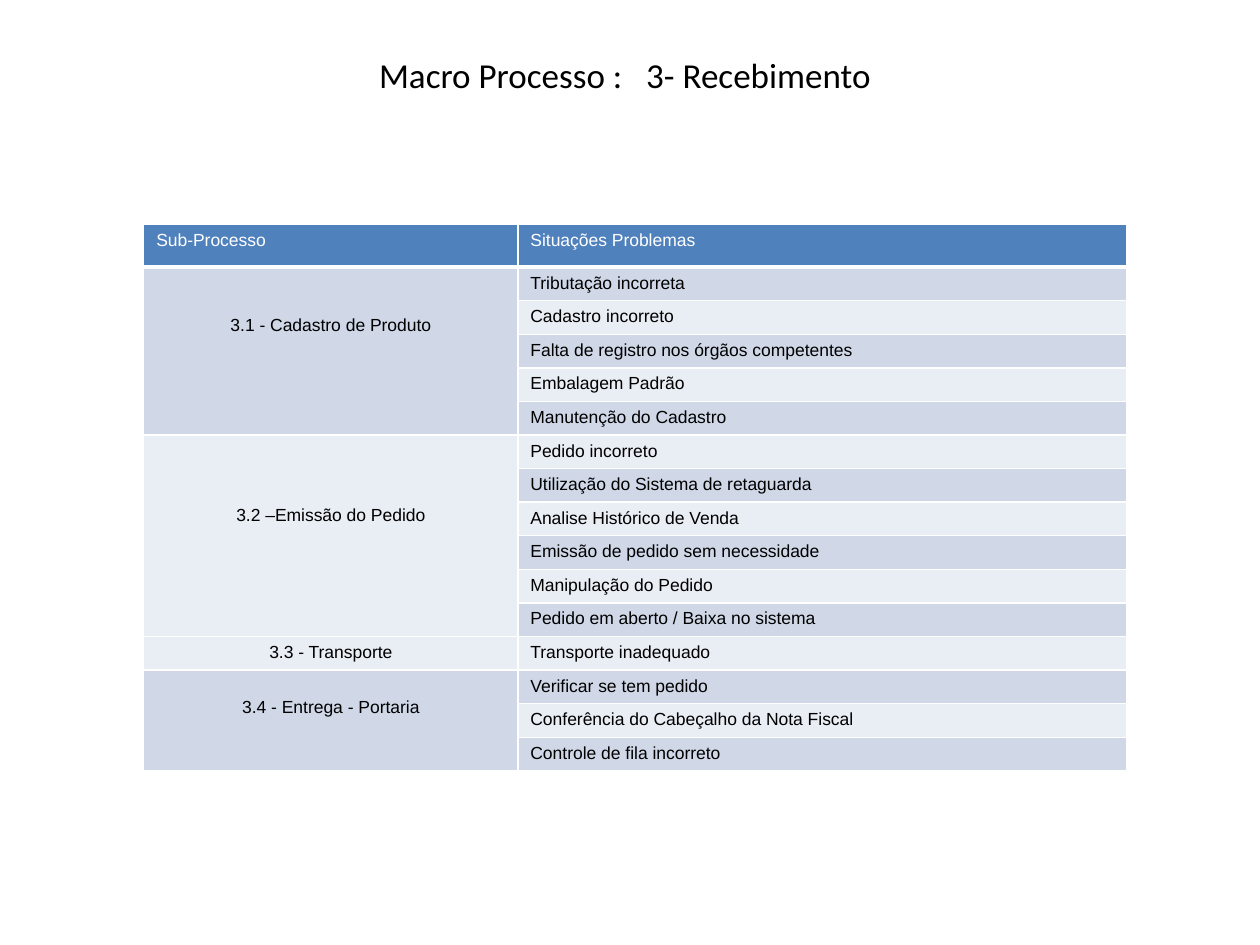
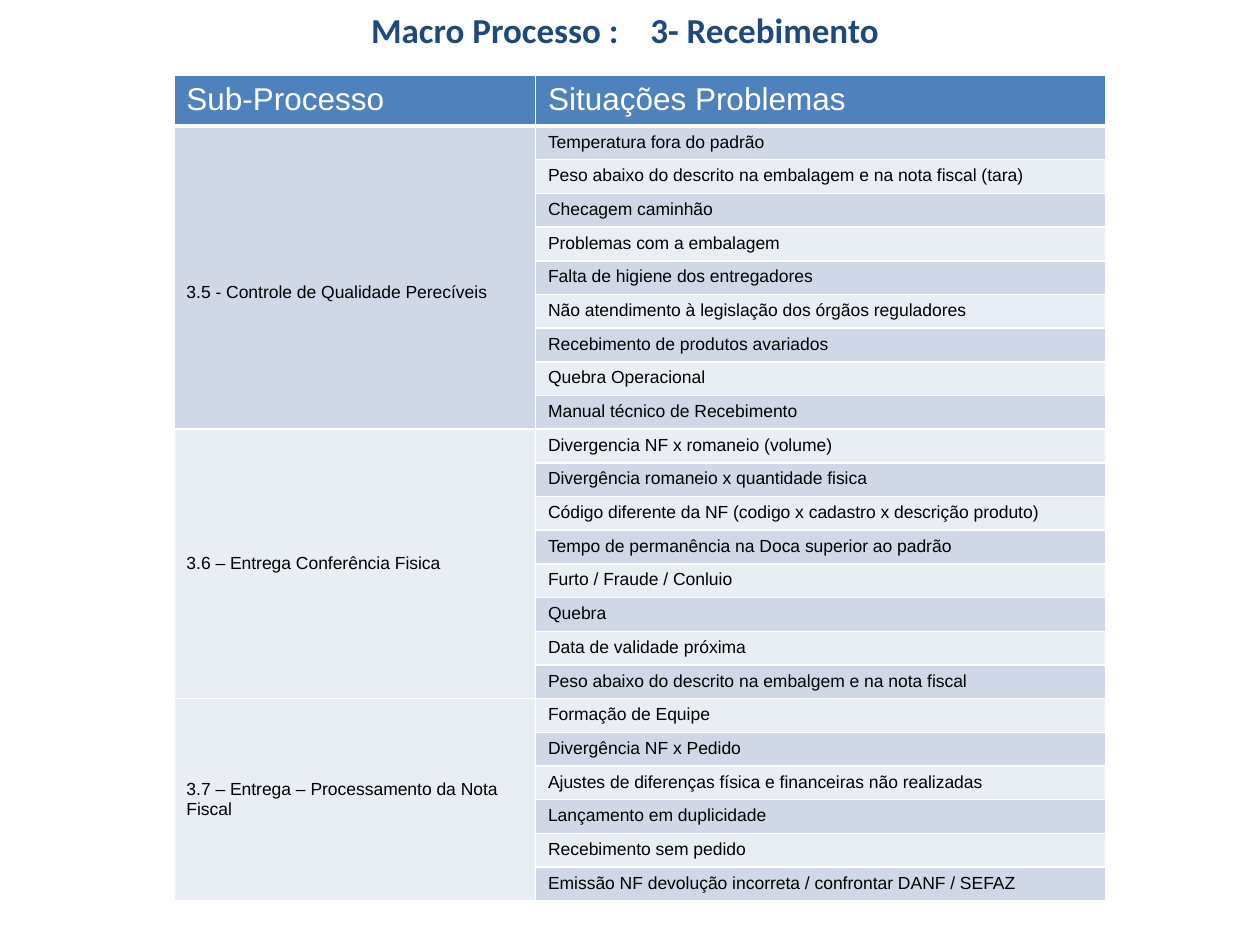
from dataclasses import dataclass

from lxml import etree
from pptx import Presentation
from pptx.dml.color import RGBColor
from pptx.enum.text import MSO_ANCHOR, PP_ALIGN
from pptx.oxml.ns import qn
from pptx.util import Inches, Pt

CENTER, LEFT = PP_ALIGN.CENTER, PP_ALIGN.LEFT
TOP, MIDDLE = MSO_ANCHOR.TOP, MSO_ANCHOR.MIDDLE

WHITE = RGBColor(0xFF, 0xFF, 0xFF)
BLACK = RGBColor(0x00, 0x00, 0x00)
NAVY = RGBColor(0x1F, 0x49, 0x7D)
HEADER_BLUE = RGBColor(0x4F, 0x81, 0xBD)
BANDS = (RGBColor(0xE9, 0xED, 0xF4), RGBColor(0xD0, 0xD8, 0xE8))

TITLE_FONT, TABLE_FONT = "Calibri", "Arial"
TITLE_SIZE, BODY_SIZE = 20, 10
HEADINGS = ("Sub-Processo", "Situações Problemas")
CELL_MARGIN = 0.05
LINE_HEIGHT = 0.17


@dataclass(frozen=True)
class Title:
    top: float
    height: float
    color: RGBColor
    bold: bool
    gap: float  # extra points between the label and the process name


@dataclass(frozen=True)
class SubProcess:
    name: str
    problems: tuple[str, ...]
    lines_above: int = 0
    anchor: MSO_ANCHOR = TOP


@dataclass(frozen=True)
class ProcessTable:
    left: float
    top: float
    height: float
    header_height: float
    widths: tuple[float, float]
    header_size: int
    label_align: PP_ALIGN
    sub_processes: tuple[SubProcess, ...]


def add_run(paragraph, text: str, font: str, size: int, color: RGBColor, bold: bool = False):
    run = paragraph.add_run()
    run.text = text
    run.font.name, run.font.size, run.font.bold = font, Pt(size), bold
    run.font.color.rgb = color
    return run


def add_title(slide, title: Title) -> None:
    shape = slide.shapes.add_textbox(Inches(0.43), Inches(title.top), Inches(9.06), Inches(title.height))
    frame = shape.text_frame
    frame.word_wrap = True
    frame.vertical_anchor = MIDDLE
    paragraph = frame.paragraphs[0]
    paragraph.alignment = CENTER
    for text in ("Macro Processo :", " ", "3- Recebimento"):
        run = add_run(paragraph, text, TITLE_FONT, TITLE_SIZE, title.color, title.bold)
        if text == " ":
            run.font._element.set("spc", str(round(title.gap * 100)))


def style_cell(cell, fill: RGBColor, bottom_width: int = 1) -> None:
    properties = cell._tc.get_or_add_tcPr()
    for side, width in (("L", 1), ("R", 1), ("T", 1), ("B", bottom_width)):
        line = etree.SubElement(properties, qn(f"a:ln{side}"), w=str(Pt(width)))
        solid = etree.SubElement(line, qn("a:solidFill"))
        etree.SubElement(solid, qn("a:srgbClr"), val=str(WHITE))
    cell.fill.solid()
    cell.fill.fore_color.rgb = fill


def write_cell(cell, text: str, size: int = BODY_SIZE, color: RGBColor = BLACK,
               align: PP_ALIGN = LEFT, anchor: MSO_ANCHOR = TOP, lines_above: int = 0) -> None:
    cell.margin_left = cell.margin_right = Inches(0.1)
    cell.margin_top = Inches(CELL_MARGIN + lines_above * LINE_HEIGHT)
    cell.margin_bottom = Inches(CELL_MARGIN)
    cell.vertical_anchor = anchor
    paragraph = cell.text_frame.paragraphs[0]
    paragraph.alignment = align
    add_run(paragraph, text, TABLE_FONT, size, color)


def add_process_table(slide, process: ProcessTable) -> None:
    body_rows = sum(len(sub_process.problems) for sub_process in process.sub_processes)
    table = slide.shapes.add_table(
        body_rows + 1, 2, Inches(process.left), Inches(process.top),
        Inches(sum(process.widths)), Inches(process.height)).table
    table.first_row = table.horz_banding = False
    for column, width in zip(table.columns, process.widths):
        column.width = Inches(width)
    row_height = Inches((process.height - process.header_height) / body_rows)
    for index, row in enumerate(table.rows):
        row.height = row_height if index else Inches(process.header_height)

    # Header row
    for column, heading in enumerate(HEADINGS):
        cell = table.cell(0, column)
        style_cell(cell, HEADER_BLUE, bottom_width=3)
        write_cell(cell, heading, process.header_size, WHITE)

    # One merged label beside the problems of each sub-process
    first = 1
    for sub_process in process.sub_processes:
        for row, problem in enumerate(sub_process.problems, first):
            style_cell(table.cell(row, 0), BANDS[first % 2])
            style_cell(table.cell(row, 1), BANDS[row % 2])
            write_cell(table.cell(row, 1), problem)
        last = first + len(sub_process.problems) - 1
        label = table.cell(first, 0)
        if last > first:
            label.merge(table.cell(last, 0))
        write_cell(label, sub_process.name, align=process.label_align,
                   anchor=sub_process.anchor, lines_above=sub_process.lines_above)
        first = last + 1


SLIDES = (
    (Title(0.13, 0.92, BLACK, False, 9),
     ProcessTable(1.14, 1.78, 4.34, 0.34, (2.97, 4.83), 10, CENTER, (
         SubProcess("3.1 - Cadastro de Produto", (
             "Tributação incorreta",
             "Cadastro incorreto",
             "Falta de registro nos órgãos competentes",
             "Embalagem Padrão",
             "Manutenção do Cadastro"), lines_above=2),
         SubProcess("3.2 –Emissão do Pedido", (
             "Pedido incorreto",
             "Utilização do Sistema de retaguarda",
             "Analise Histórico de Venda",
             "Emissão de pedido sem necessidade",
             "Manipulação do Pedido",
             "Pedido em aberto / Baixa no sistema"), lines_above=3),
         SubProcess("3.3 - Transporte", ("Transporte inadequado",)),
         SubProcess("3.4 - Entrega - Portaria", (
             "Verificar se tem pedido",
             "Conferência do Cabeçalho da Nota Fiscal",
             "Controle de fila incorreto"), lines_above=1)))),
    (Title(0, 0.47, NAVY, True, 13.5),
     ProcessTable(1.38, 0.6, 6.54, 0.4, (2.87, 4.53), 18, LEFT, (
         SubProcess("3.5 - Controle de Qualidade Perecíveis", (
             "Temperatura fora do padrão",
             "Peso abaixo do descrito na embalagem e na nota fiscal (tara)",
             "Checagem caminhão",
             "Problemas com a embalagem",
             "Falta de higiene dos entregadores",
             "Não atendimento à legislação dos órgãos reguladores",
             "Recebimento de produtos avariados",
             "Quebra Operacional",
             "Manual técnico de Recebimento"), lines_above=7),
         SubProcess("3.6 – Entrega Conferência Fisica", (
             "Divergencia NF x romaneio (volume)",
             "Divergência romaneio x quantidade fisica",
             "Código diferente da NF (codigo x cadastro x descrição produto)",
             "Tempo de permanência na Doca superior ao padrão",
             "Furto / Fraude / Conluio",
             "Quebra",
             "Data de validade próxima",
             "Peso abaixo do descrito na embalgem e na nota fiscal"), anchor=MIDDLE),
         SubProcess("3.7 – Entrega – Processamento da Nota Fiscal", (
             "Formação de Equipe",
             "Divergência NF x Pedido",
             "Ajustes de diferenças física e financeiras não realizadas",
             "Lançamento em duplicidade",
             "Recebimento sem pedido",
             "Emissão NF devolução incorreta / confrontar DANF / SEFAZ"), anchor=MIDDLE)))),
)


def main() -> None:
    presentation = Presentation()
    presentation.slide_width, presentation.slide_height = Inches(10), Inches(7.5)
    for title, process in SLIDES:
        slide = presentation.slides.add_slide(presentation.slide_layouts[6])
        add_process_table(slide, process)
        add_title(slide, title)
    presentation.save("out.pptx")


if __name__ == "__main__":
    main()
